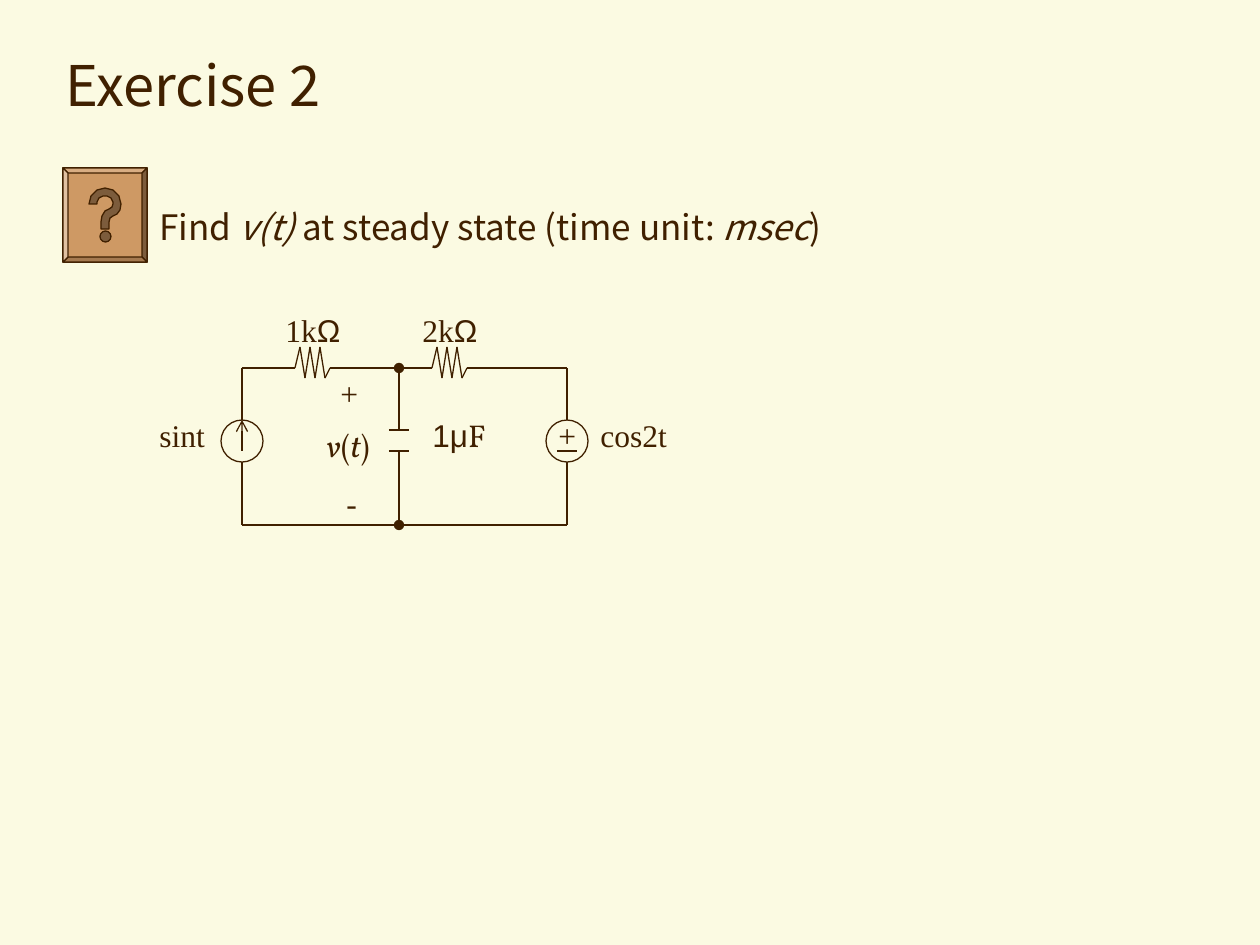
from dataclasses import dataclass
from math import cos, pi, sin

from lxml.etree import SubElement
from pptx import Presentation
from pptx.dml.color import RGBColor
from pptx.enum.shapes import MSO_CONNECTOR, MSO_SHAPE
from pptx.enum.text import MSO_ANCHOR
from pptx.oxml.ns import qn
from pptx.util import Pt

SCALE = 914400 / 126


@dataclass(frozen=True)
class Theme:
    paper: str = "FBFAE2"
    ink: str = "402000"
    face: str = "CE9964"
    top: str = "D8AD83"
    left: str = "E1C1A2"
    right: str = "7C5C3C"
    base: str = "A57A50"
    sans: str = "Noto Sans CJK KR"
    serif: str = "Times New Roman"
    math: str = "Vollkorn"
    plain: str = "Arial"
    title: int = 32
    body: int = 20
    label: int = 18
    line: float = 0.75


def px(num):
    return round(num * SCALE)


class Board:
    def __init__(self, slide, theme):
        self.slide = slide
        self.theme = theme
        fill = slide.background.fill
        fill.solid()
        fill.fore_color.rgb = RGBColor.from_string(theme.paper)

    def stroke(self, shape):
        shape.line.color.rgb = RGBColor.from_string(self.theme.ink)
        shape.line.width = Pt(self.theme.line)

    def paint(self, shape, fill):
        shape.shadow.inherit = False
        self.stroke(shape)
        if fill:
            shape.fill.solid()
            shape.fill.fore_color.rgb = RGBColor.from_string(fill)
        else:
            shape.fill.background()

    def wire(self, start, end, tip=None):
        line = self.slide.shapes.add_connector(
            MSO_CONNECTOR.STRAIGHT, *map(px, start + end))
        self.stroke(line)
        if tip:
            SubElement(line.line._get_or_add_ln(), qn("a:tailEnd")).set("type", tip)
        SubElement(line._element.spPr, qn("a:effectLst"))

    def chain(self, points):
        for start, end in zip(points, points[1:]):
            self.wire(start, end)

    def shape(self, kind, box, fill=None):
        self.paint(self.slide.shapes.add_shape(kind, *map(px, box)), fill)

    def poly(self, points, fill):
        pen = self.slide.shapes.build_freeform(*points[0], scale=SCALE)
        pen.add_line_segments(points[1:], close=True)
        self.paint(pen.convert_to_shape(), fill)

    def text(self, box, *rows, size=None, wrap=False, gap=0):
        frame = self.slide.shapes.add_textbox(*map(px, box)).text_frame
        frame.word_wrap = wrap
        frame.vertical_anchor = MSO_ANCHOR.TOP
        for num, row in enumerate(rows):
            para = frame.add_paragraph() if num else frame.paragraphs[0]
            if num:
                para.space_before = Pt(gap)
            for words, name, slant in row:
                run = para.add_run()
                run.text = words
                run.font.name = name
                run.font.size = Pt(size or self.theme.label)
                run.font.italic = slant
                run.font.color.rgb = RGBColor.from_string(self.theme.ink)
        return frame


def draw_icon(board):
    look = board.theme
    outer = [(63, 168), (147, 168), (147, 262), (63, 262)]
    inner = [(68, 173), (142, 173), (142, 257), (68, 257)]
    board.poly(outer, look.face)
    for side, fill in enumerate((look.top, look.right, look.base, look.left)):
        after = (side + 1) % 4
        board.poly([outer[side], outer[after], inner[after], inner[side]], fill)

    def arc(size):
        return [(round(105 - size * cos(step * pi / 12), 2),
                 round(204 - size * sin(step * pi / 12), 2)) for step in range(13)]

    stem = [(120, 210), (117, 214), (113, 216), (110, 218), (109, 222), (109, 229),
            (101, 229), (101, 222), (102, 216), (105, 211), (109, 209), (112, 207)]
    board.poly(arc(16) + stem + arc(8)[::-1], look.right)
    board.shape(MSO_SHAPE.OVAL, (100, 231, 11, 11), look.right)


def draw_wires(board):
    west, mid, east = 242, 399, 567
    top, base = 368, 525
    high, low = 420, 462
    last = west
    for start, end in ((295, mid), (432, east)):
        levels = [top] + [347, 378] * 3 + [top]
        zigzag = [(start + 5 * step, level) for step, level in enumerate(levels)]
        board.chain([(last, top)] + zigzag + [(end, top)])
        last = end
    board.wire((west, base), (east, base))
    for side in (west, east):
        board.wire((side, high), (side, top))
        board.shape(MSO_SHAPE.OVAL, (side - 21, high, 42, 42))
        board.wire((side, base), (side, low))
    board.wire((west, 451), (west, high), "arrow")
    board.wire((east - 10, 451), (east + 10, 451))
    for plate, node in ((430, top), (451, base)):
        board.wire((mid - 10, plate), (mid + 10, plate))
        board.wire((mid, plate), (mid, node), "oval")


def draw_labels(board):
    look = board.theme
    for left, ohms in ((273, "1k"), (410, "2k")):
        board.text((left, 305, 81, 50),
                   [(ohms, look.serif, False), ("Ω", look.plain, False)])
    for left, width, words in ((147, 71, "sint"), (546, 42, "+"), (588, 92, "cos2t")):
        board.text((left, 410, width, 50), [(words, look.serif, False)])
    board.text((326, 368, 54, 164), [("+", look.serif, True)],
               [(" -", look.serif, True)], gap=41)
    board.text((314, 420, 72, 50), [("v", look.math, True), ("(", look.math, False),
                                    ("t", look.math, True), (")", look.math, False)])
    board.text((420, 410, 94, 50),
               [("1μ", look.plain, False), ("F", look.math, False)], wrap=True)


def main():
    deck = Presentation()
    deck.slide_width, deck.slide_height = px(1260), px(945)
    look = Theme()
    board = Board(deck.slides.add_slide(deck.slide_layouts[6]), look)
    title = board.text((53, 32, 1155, 105), [("Exercise 2", look.sans, False)],
                       size=look.title, wrap=True)
    title.vertical_anchor = MSO_ANCHOR.MIDDLE
    board.text((147, 199, 963, 55),
               [("Find ", look.sans, False), ("v(t) ", look.sans, True),
                ("at steady state (time unit: ", look.sans, False),
                ("msec", look.sans, True), (")", look.sans, False)],
               size=look.body, wrap=True)
    draw_icon(board)
    draw_wires(board)
    draw_labels(board)
    deck.save("out.pptx")


if __name__ == "__main__":
    main()
